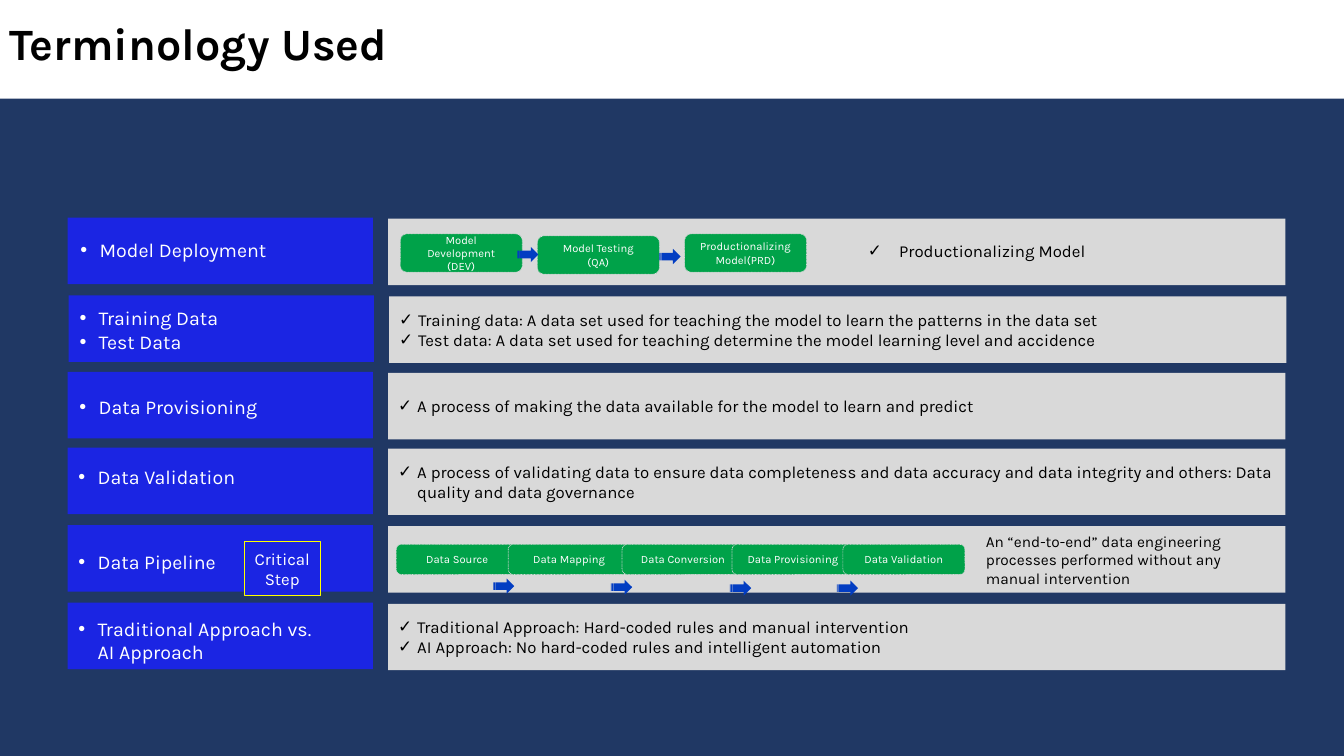
from pptx import Presentation
from pptx.util import Inches, Pt
from pptx.dml.color import RGBColor
from pptx.enum.dml import MSO_LINE
from pptx.enum.shapes import MSO_SHAPE as SHAPE
from pptx.enum.text import MSO_ANCHOR as ANCHOR, MSO_AUTO_SIZE as AUTO, PP_ALIGN as ALIGN
from lxml import etree

FONT = "Karla"
NAVY, BLUE, GREY, GREEN = "203864", "1B25E3", "D9D9D9", "00A249"
ARROW, YELLOW, WHITE, BLACK = "023DC2", "FFFF00", "FFFFFF", "000000"

TITLE = "Terminology Used"
# Row left, row top, label box (left, top, width, height), label lines, definition lines
ROWS = [
    (0.67, 2.16, (0.70, 2.31, 2.56, 0.34), ["Model Deployment"], []),
    (0.68, 2.93, (0.69, 2.99, 2.49, 0.57), ["Training Data", "Test Data"],
     ["Training data: A data set used for teaching the model to learn the patterns in the data set",
      "Test data: A data set used for teaching determine the model learning level and accidence"]),
    (0.67, 3.69, (0.69, 3.87, 2.57, 0.34), ["Data Provisioning"],
     ["A process of making the data available for the model to learn and predict"]),
    (0.67, 4.44, (0.68, 4.56, 3.02, 0.34), ["Data Validation"],
     ["A process of validating data to ensure data completeness and data accuracy and data "
      "integrity and others: Data quality and data governance"]),
    (0.67, 5.21, (0.68, 5.41, 2.54, 0.34), ["Data Pipeline"], []),
    (0.67, 5.98, (0.68, 6.07, 2.54, 0.57), ["Traditional Approach vs. AI Approach"],
     ["Traditional Approach: Hard-coded rules and manual intervention",
      "AI Approach: No hard-coded rules and intelligent automation"]),
]
# Step left, top, height, text
STEPS = [
    (3.97, 2.32, 0.38, "Model Development (DEV)"),
    (5.33, 2.34, 0.38, "Model Testing\v(QA)"),
    (6.79, 2.32, 0.38, "Productionalizing Model(PRD)"),
    (3.93, 5.40, 0.30, "Data Source"),
    (5.04, 5.40, 0.30, "Data Mapping"),
    (6.17, 5.40, 0.30, "Data Conversion"),
    (7.26, 5.40, 0.30, "Data Provisioning"),
    (8.36, 5.40, 0.30, "Data Validation"),
]
ARROWS = [(5.13, 2.45), (6.54, 2.47), (4.89, 5.74), (6.06, 5.75), (7.24, 5.76), (8.30, 5.76)]
DEPLOYMENT_NOTE = "Productionalizing Model"
PIPELINE_NOTE = ("An “end-to-end” data engineering processes performed "
                 "without any manual intervention")
BADGE = "Critical Step"


def color(value):
    return RGBColor.from_string(value)


def add_bullet(p, char, indent):
    pPr = p._p.get_or_add_pPr()
    pPr.set("marL", str(Inches(indent)))
    pPr.set("indent", str(-Inches(indent)))
    ns = pPr.nsmap["a"]
    etree.SubElement(pPr, f"{{{ns}}}buFont").set("typeface", "Arial")
    etree.SubElement(pPr, f"{{{ns}}}buChar").set("char", char)


def write(sp, lines, size=12, fill=WHITE, bold=False, bullet=None, indent=0.19,
          align=ALIGN.LEFT, anchor=ANCHOR.MIDDLE, auto=AUTO.NONE):
    tf = sp.text_frame
    tf.word_wrap = True
    tf.auto_size = auto
    tf.vertical_anchor = anchor
    for i, line in enumerate(lines):
        p = tf.add_paragraph() if i else tf.paragraphs[0]
        p.text = line
        p.alignment = align
        if bullet:
            add_bullet(p, bullet, indent)
        for r in p.runs:
            r.font.name, r.font.size, r.font.bold = FONT, Pt(size), bold
            r.font.color.rgb = color(fill)


def add_box(x, y, w, h, fill, kind=SHAPE.RECTANGLE, line=None, dash=None):
    sp = s.shapes.add_shape(kind, Inches(x), Inches(y), Inches(w), Inches(h))
    sp.shadow.inherit = False
    sp.fill.solid()
    sp.fill.fore_color.rgb = color(fill)
    if line:
        sp.line.color.rgb = color(line)
        sp.line.width = Pt(0.5)
        if dash:
            sp.line.dash_style = dash
    else:
        sp.line.fill.background()
    return sp


def add_text(x, y, w, h, text, **fmt):
    sp = s.shapes.add_textbox(Inches(x), Inches(y), Inches(w), Inches(h))
    write(sp, [text], fill=BLACK, anchor=ANCHOR.TOP, auto=AUTO.SHAPE_TO_FIT_TEXT, **fmt)


prs = Presentation()
prs.slide_width, prs.slide_height = Inches(13.33), Inches(7.5)
s = prs.slides.add_slide(prs.slide_layouts[6])
s.background.fill.solid()
s.background.fill.fore_color.rgb = color(NAVY)

# Title band
add_box(0, 0, 13.33, 0.98, WHITE)
add_text(0, 0.11, 13.33, 0.64, TITLE, size=32, bold=True)

# Terms and definitions
for x, y, label, terms, definitions in ROWS:
    add_box(x, y, 3.03, 0.66, BLUE)
    panel = add_box(x + 3.18, y + 0.01, 8.9, 0.66, GREY)
    if definitions:
        write(panel, definitions, fill=BLACK, bullet="✓")
    write(add_box(*label, BLUE), terms, size=14, bullet="•",
          anchor=ANCHOR.TOP, auto=AUTO.SHAPE_TO_FIT_TEXT)

# Badge on the pipeline row
write(add_box(2.42, 5.37, 0.76, 0.54, BLUE, line=YELLOW), [BADGE], align=ALIGN.CENTER)

# Process steps and arrows
for x, y, h, text in STEPS:
    step = add_box(x, y, 1.21, h, GREEN, SHAPE.ROUNDED_RECTANGLE, GREY, MSO_LINE.ROUND_DOT)
    write(step, [text], size=8, align=ALIGN.CENTER)
for x, y in ARROWS:
    add_box(x, y, 0.21, 0.15, ARROW, SHAPE.STRIPED_RIGHT_ARROW)

# Notes beside the processes
add_text(8.51, 2.34, 4.01, 0.3, DEPLOYMENT_NOTE, bullet="✓", indent=0.31)
add_text(9.68, 5.23, 2.99, 0.66, PIPELINE_NOTE, size=11)

prs.save("out.pptx")
